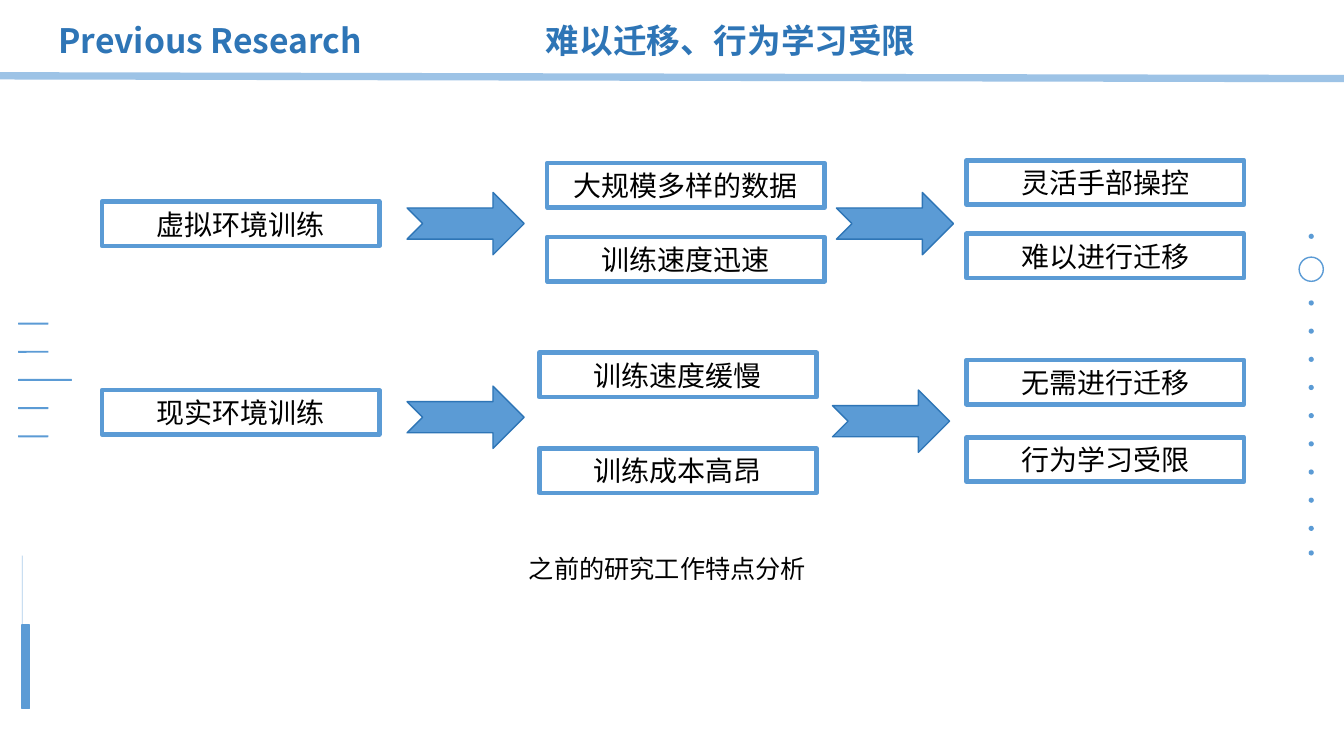
from dataclasses import dataclass

from lxml.etree import SubElement
from pptx import Presentation
from pptx.dml.color import RGBColor
from pptx.enum.shapes import MSO_CONNECTOR, MSO_SHAPE as Preset
from pptx.enum.text import MSO_ANCHOR as Anchor, MSO_AUTO_SIZE as AutoSize, PP_ALIGN as Align
from pptx.oxml.ns import qn
from pptx.util import Cm, Pt


@dataclass(frozen=True)
class Theme:
    """Colours, font and type sizes of the slide."""
    accent: RGBColor = RGBColor.from_string("5B9BD5")
    dark: RGBColor = RGBColor.from_string("2E75B6")
    pale: RGBColor = RGBColor.from_string("9DC3E6")
    ink: RGBColor = RGBColor.from_string("000000")
    font: str = "Noto Sans CJK SC"
    heading: int = 24
    label: int = 20
    caption: int = 18


THEME = Theme()
BOX_SIZE = (6.99, 1.12)
ARROW_SIZE = (2.95, 1.57)
STEP = 0.71
BOXES = [
    (2.57, 5.08, "虚拟环境训练"),
    (13.79, 4.11, "大规模多样的数据"),
    (13.79, 5.97, "训练速度迅速"),
    (24.36, 4.04, "灵活手部操控"),
    (24.36, 5.89, "难以进行迁移"),
    (2.57, 9.83, "现实环境训练"),
    (13.59, 8.89, "训练速度缓慢"),
    (13.59, 11.3, "训练成本高昂"),
    (24.36, 9.07, "无需进行迁移"),
    (24.36, 11.02, "行为学习受限"),
]
ARROWS = [(10.26, 4.85), (21.08, 4.85), (10.26, 9.73), (20.98, 9.83)]


def write(shape, text, size, color, bold=False, align=Align.LEFT, anchor=Anchor.TOP):
    """Write one run of text into a shape and return its paragraph."""
    frame = shape.text_frame
    frame.word_wrap = True
    frame.auto_size = AutoSize.NONE
    frame.vertical_anchor = anchor
    paragraph = frame.paragraphs[0]
    paragraph.alignment = align
    run = paragraph.add_run()
    run.text = text
    font = run.font
    font.name, font.size, font.bold = THEME.font, Pt(size), bold
    font.color.rgb = color
    SubElement(font._element, qn("a:ea"), typeface=THEME.font)
    return paragraph


def add_preset(slide, preset, left, top, width, height, fill=None, line=None, weight=1):
    """Add a preset shape without shadow, with optional fill and outline."""
    shape = slide.shapes.add_shape(preset, Cm(left), Cm(top), Cm(width), Cm(height))
    shape.shadow.inherit = False
    if fill is None:
        shape.fill.background()
    else:
        shape.fill.solid()
        shape.fill.fore_color.rgb = fill
    if line is None:
        shape.line.fill.background()
    else:
        shape.line.color.rgb = line
        shape.line.width = Pt(weight)
    return shape


def add_line(slide, start, end, color, weight, opacity=100):
    """Add a straight line without shadow."""
    line = slide.shapes.add_connector(MSO_CONNECTOR.STRAIGHT, *map(Cm, start + end))
    line.line.color.rgb = color
    line.line.width = Pt(weight)
    properties = line._element.spPr
    if opacity < 100:
        SubElement(next(properties.iter(qn("a:srgbClr"))), qn("a:alpha"), val=str(opacity * 1000))
    SubElement(properties, qn("a:effectLst"))


def add_text(slide, left, top, width, height):
    """Add an empty text box."""
    return slide.shapes.add_textbox(Cm(left), Cm(top), Cm(width), Cm(height))


def add_headings(slide):
    """Add the rule, the title and the conclusion beside it."""
    add_line(slide, (0, 1.91), (33.87, 1.98), THEME.pale, 5.25)
    title = slide.shapes.title
    title.left, title.top, title.width, title.height = map(Cm, (1.22, 0.38, 8.97, 1.19))
    write(title, "Previous Research", THEME.heading, THEME.dark, bold=True)
    conclusion = add_text(slide, 13.51, 0.38, 10.54, 1.19)
    write(conclusion, "难以迁移、行为学习受限", THEME.heading, THEME.dark, bold=True)


def add_left_ornaments(slide):
    """Add the tick marks and the vertical bar on the left edge."""
    for index in range(5):
        width = 1.35 if index == 2 else 0.76
        add_preset(slide, Preset.ROUNDED_RECTANGLE, 0.46, 8.13 + index * STEP, width, 0.05,
                   fill=THEME.accent)
    add_line(slide, (0.56, 14), (0.56, 17.86), THEME.accent, 0.5, opacity=50)
    add_preset(slide, Preset.RECTANGLE, 0.56, 15.75, 0.18, 2.11, THEME.accent, THEME.accent)


def add_right_ornaments(slide):
    """Add the ring and the column of dots on the right edge."""
    add_preset(slide, Preset.OVAL, 32.74, 6.48, 0.61, 0.61, line=THEME.accent)
    for top in [5.89, *(7.57 + index * STEP for index in range(9)), 13.87]:
        add_preset(slide, Preset.OVAL, 32.98, top, 0.13, 0.13, fill=THEME.accent)


def add_flow(slide):
    """Add the labelled boxes, the arrows and the caption."""
    for left, top, label in BOXES:
        box = add_preset(slide, Preset.RECTANGLE, left, top, *BOX_SIZE,
                         line=THEME.accent, weight=3.25)
        write(box, label, THEME.label, THEME.ink, align=Align.CENTER, anchor=Anchor.MIDDLE)
    for left, top in ARROWS:
        add_preset(slide, Preset.NOTCHED_RIGHT_ARROW, left, top, *ARROW_SIZE,
                   fill=THEME.accent, line=THEME.dark)
    caption = add_text(slide, 13.08, 13.64, 7.7, 1.3)
    write(caption, "之前的研究工作特点分析", THEME.caption, THEME.ink).line_spacing = 1.25


def main():
    """Build and save the slide."""
    presentation = Presentation()
    presentation.slide_width, presentation.slide_height = Cm(33.87), Cm(19.05)
    slide = presentation.slides.add_slide(presentation.slide_layouts[5])
    add_headings(slide)
    add_left_ornaments(slide)
    add_flow(slide)
    add_right_ornaments(slide)
    presentation.save("out.pptx")


if __name__ == "__main__":
    main()
